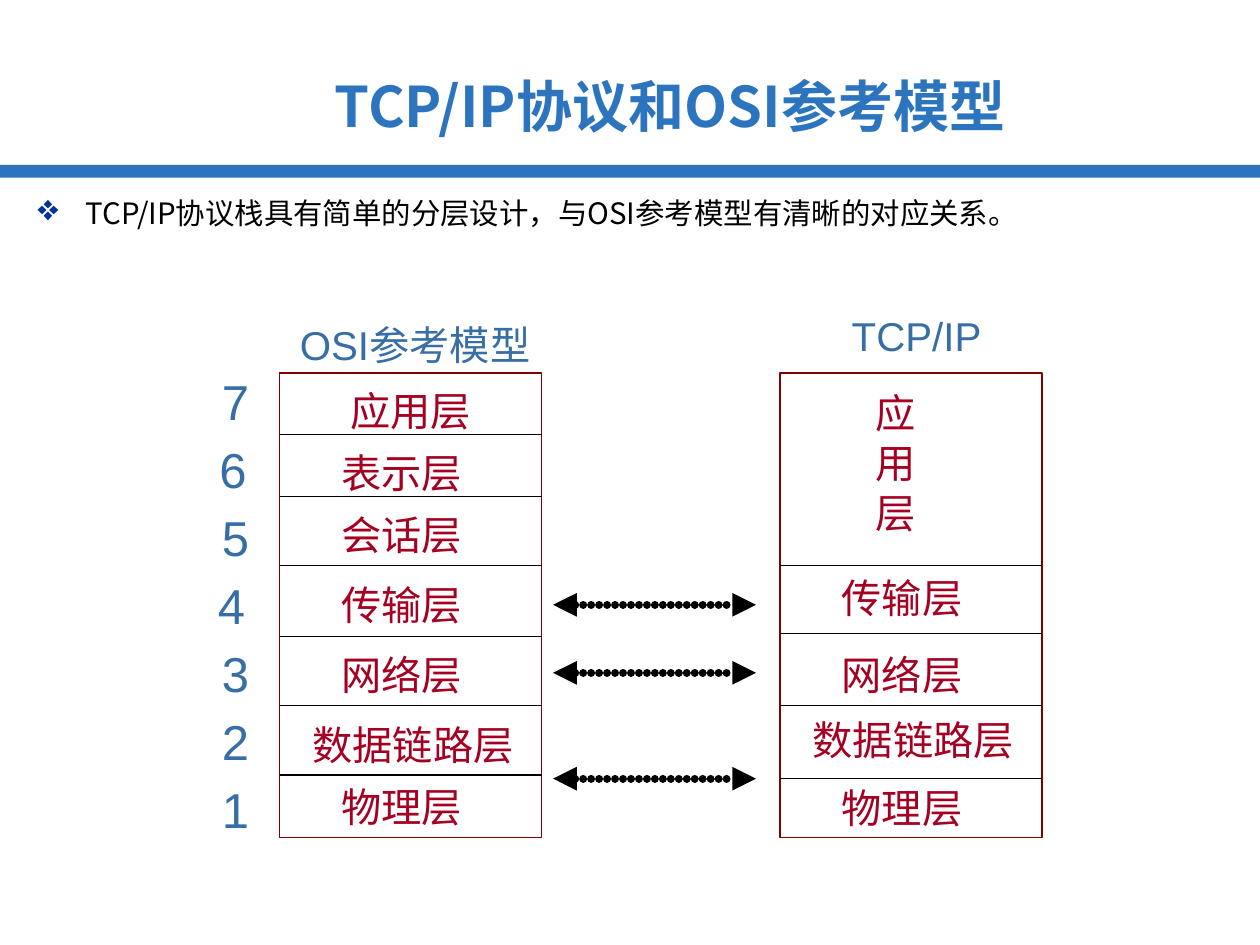
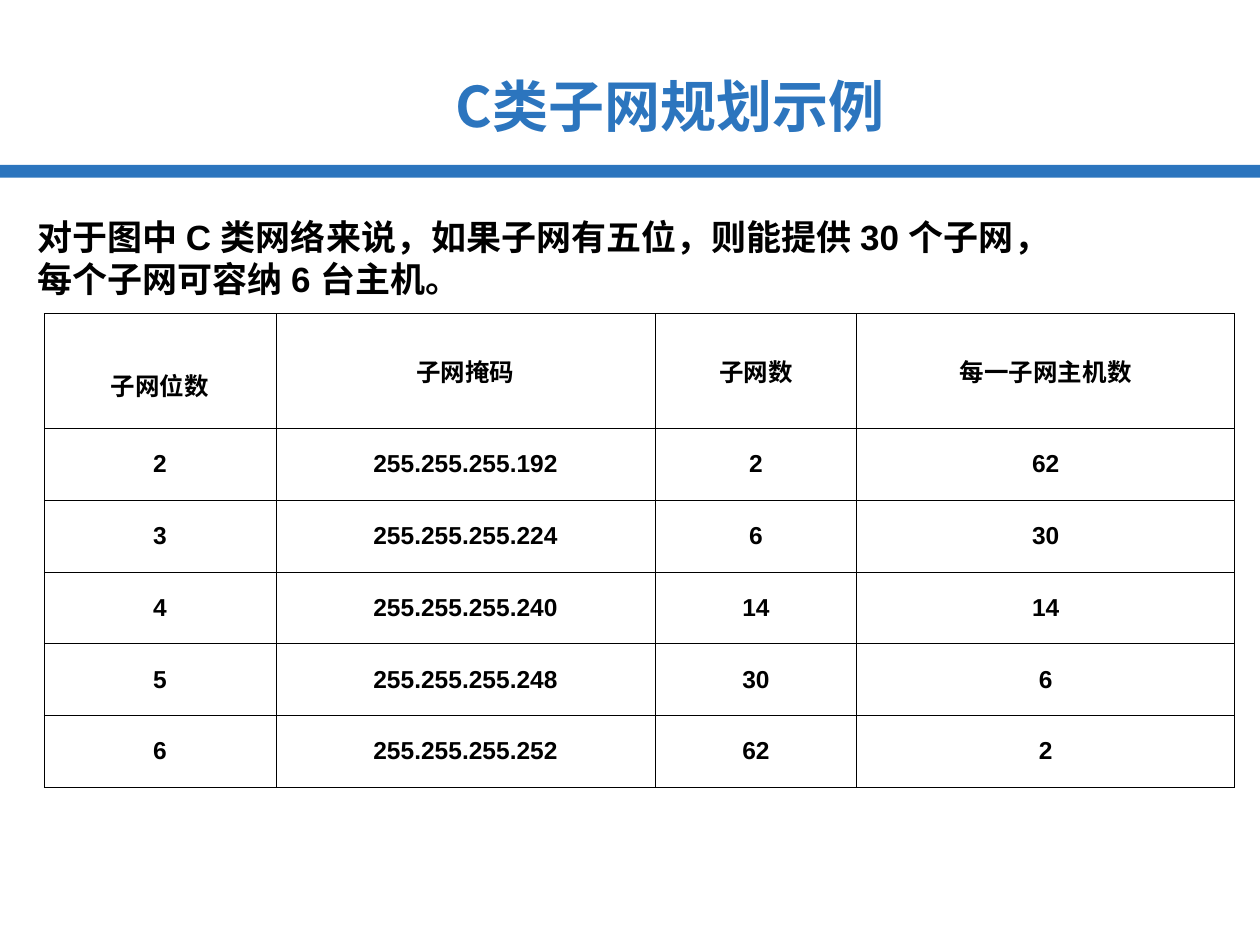
from dataclasses import dataclass

from lxml import etree
from pptx import Presentation
from pptx.dml.color import RGBColor
from pptx.enum.shapes import MSO_CONNECTOR, MSO_SHAPE
from pptx.enum.text import MSO_ANCHOR, PP_ALIGN
from pptx.oxml.ns import qn
from pptx.util import Inches, Pt

LEFT, CENTER = PP_ALIGN.LEFT, PP_ALIGN.CENTER
TOP, MIDDLE = MSO_ANCHOR.TOP, MSO_ANCHOR.MIDDLE
STRAIGHT, RECTANGLE = MSO_CONNECTOR.STRAIGHT, MSO_SHAPE.RECTANGLE

LATIN_FONT, CHINESE_FONT = "Arial", "Noto Sans CJK SC"
BLUE, LABEL_BLUE, BULLET_BLUE = "2C75BE", "376EA5", "003399"
CRIMSON, MAROON, BLACK = "A50021", "800000", "000000"

STACK_TOP, STACK_WIDTH, STACK_HEIGHT = 2.96, 2.08, 3.69
LABEL_HEIGHT = 0.5
LABEL_INSETS = (0.12, 0.06)
NUMBER_TOP, NUMBER_STEP, NUMBER_LEFT = 2.89, 0.54, 1.64
NUMBER_LEFT_EXCEPTIONS = {6: 1.62, 4: 1.61}
ARROW_START, ARROW_END = 4.39, 6.0
ARROW_LEVELS = (4.8, 5.34, 6.18)

TABLE_COLUMNS = (1.84, 3.01, 1.6, 3.0)
TABLE_ROWS = (0.91,) + (0.57,) * 5
SUBNETS = (
    ("子网位数", "子网掩码", "子网数", "每一子网主机数"),
    ("2", "255.255.255.192", "2", "62"),
    ("3", "255.255.255.224", "6", "30"),
    ("4", "255.255.255.240", "14", "14"),
    ("5", "255.255.255.248", "30", "6"),
    ("6", "255.255.255.252", "62", "2"),
)


@dataclass(frozen=True)
class Layer:
    """A protocol layer: its lower edge and where its label sits."""
    name: str
    bottom: float
    label_top: float
    label_center: float = 0.97
    vertical: bool = False


@dataclass(frozen=True)
class Stack:
    """A column of layers under a heading."""
    heading: str
    heading_box: tuple[float, float, float, float]
    left: float
    layers: tuple[Layer, ...]


STACKS = (
    Stack("OSI参考模型", (2.26, 2.48, 2.3, 0.5), 2.22, (
        Layer("应用层", 3.45, 3.01, 1.04),
        Layer("表示层", 3.94, 3.5),
        Layer("会话层", 4.49, 3.99),
        Layer("传输层", 5.05, 4.55),
        Layer("网络层", 5.6, 5.1),
        Layer("数据链路层", 6.15, 5.66, 1.06),
        Layer("物理层", 6.65, 6.15),
    )),
    Stack("TCP/IP", (6.64, 2.41, 1.43, 0.5), 6.19, (
        Layer("应 用 层", 4.49, 3.0, 0.91, True),
        Layer("传输层", 5.03, 4.49),
        Layer("网络层", 5.6, 5.1),
        Layer("数据链路层", 6.18, 5.62, 1.06),
        Layer("物理层", 6.65, 6.16),
    )),
)


def color(value: str) -> RGBColor:
    """Turn a hex string into a colour."""
    return RGBColor.from_string(value)


def write(paragraph, text: str, *, size: float, fill: str = BLACK, bold: bool = False,
          font: str = LATIN_FONT, align=LEFT) -> None:
    """Write one formatted run into a paragraph."""
    paragraph.alignment = align
    run = paragraph.add_run()
    run.text = text
    run.font.size = Pt(size)
    run.font.bold = bold
    run.font.name = font
    run.font.color.rgb = color(fill)
    east_asian = etree.Element(qn("a:ea"), typeface=CHINESE_FONT)
    run.font._element.find(qn("a:latin")).addnext(east_asian)


def add_text(slide, text: str, box: tuple[float, float, float, float], *, anchor=MIDDLE,
             insets: tuple[float, float] = (0.1, 0.05), wrap: bool = True,
             vertical: bool = False, **style):
    """Add a text box and return its paragraph."""
    frame = slide.shapes.add_textbox(*map(Inches, box)).text_frame
    frame.word_wrap = wrap
    frame.vertical_anchor = anchor
    frame.margin_left = frame.margin_right = Inches(insets[0])
    frame.margin_top = frame.margin_bottom = Inches(insets[1])
    if vertical:
        frame._txBody.bodyPr.set("vert", "eaVert")
    paragraph = frame.paragraphs[0]
    write(paragraph, text, **style)
    return paragraph


def add_rectangle(slide, box: tuple[float, float, float, float], *,
                  fill: str | None = None, line: str | None = None) -> None:
    """Add a rectangle with an optional fill and outline."""
    shape = slide.shapes.add_shape(RECTANGLE, *map(Inches, box))
    shape.shadow.inherit = False
    if fill:
        shape.fill.solid()
        shape.fill.fore_color.rgb = color(fill)
    else:
        shape.fill.background()
    if line:
        shape.line.color.rgb = color(line)
        shape.line.width = Pt(0.75)
    else:
        shape.line.fill.background()


def add_line(slide, start: float, end: float, level: float, *, width: float = 0.75,
             dotted_arrow: bool = False) -> None:
    """Add a horizontal line, or a dotted arrow with two heads."""
    connector = slide.shapes.add_connector(
        STRAIGHT, Inches(start), Inches(level), Inches(end), Inches(level))
    connector.line.color.rgb = color(BLACK)
    connector.line.width = Pt(width)
    properties = connector._element.spPr
    if dotted_arrow:
        line = properties.find(qn("a:ln"))
        line.set("cap", "rnd")
        dashes = etree.SubElement(line, qn("a:custDash"))
        etree.SubElement(dashes, qn("a:ds"), d="1000", sp="100000")
        etree.SubElement(line, qn("a:round"))
        for tag in ("a:headEnd", "a:tailEnd"):
            etree.SubElement(line, qn(tag), type="triangle")
    etree.SubElement(properties, qn("a:effectLst"))


def add_bullet(paragraph, symbol: str, indent: float) -> None:
    """Give a paragraph a coloured hanging bullet."""
    properties = paragraph._p.get_or_add_pPr()
    properties.set("marL", str(Inches(indent)))
    properties.set("indent", str(-Inches(indent)))
    bullet_color = etree.SubElement(properties, qn("a:buClr"))
    etree.SubElement(bullet_color, qn("a:srgbClr"), val=BULLET_BLUE)
    etree.SubElement(properties, qn("a:buSzPct"), val="125000")
    etree.SubElement(properties, qn("a:buChar"), char=symbol)


def add_titled_slide(presentation, title: str):
    """Add a blank slide with the shared band and title."""
    slide = presentation.slides.add_slide(presentation.slide_layouts[6])
    add_rectangle(slide, (0, 1.31, 10, 0.1), fill=BLUE)
    add_text(slide, title, (1.8, 0.47, 7.04, 0.73), size=32, fill=BLUE, bold=True,
             font=CHINESE_FONT, align=CENTER)
    return slide


def draw_stack(slide, stack: Stack) -> None:
    """Draw a stack's frame, dividers, labels and heading."""
    add_rectangle(slide, (stack.left, STACK_TOP, STACK_WIDTH, STACK_HEIGHT), line=MAROON)
    for layer in stack.layers[:-1]:
        add_line(slide, stack.left, stack.left + STACK_WIDTH, layer.bottom)
    for layer in stack.layers:
        width, height = 0.32 * len(layer.name) + 0.24, LABEL_HEIGHT
        insets = LABEL_INSETS
        if layer.vertical:
            width, height, insets = 0.62, 1.22, LABEL_INSETS[::-1]
        left = stack.left + layer.label_center - width / 2
        add_text(slide, layer.name, (left, layer.label_top, width, height), insets=insets,
                 wrap=False, vertical=layer.vertical, size=23, fill=CRIMSON,
                 font=CHINESE_FONT, align=CENTER)
    add_text(slide, stack.heading, stack.heading_box, anchor=TOP, insets=LABEL_INSETS,
             size=23, fill=LABEL_BLUE)


def build_model_slide(presentation) -> None:
    """Compare the two protocol stacks."""
    slide = add_titled_slide(presentation, "TCP/IP协议和OSI参考模型")
    paragraph = add_text(
        slide, "TCP/IP协议栈具有简单的分层设计，与OSI参考模型有清晰的对应关系。",
        (0.2, 1.55, 8.51, 0.63), anchor=TOP, size=16.8, font=CHINESE_FONT)
    add_bullet(paragraph, "❖", 0.38)
    paragraph.line_spacing = 0.8
    for stack in STACKS:
        draw_stack(slide, stack)
    for index, number in enumerate(range(7, 0, -1)):
        left = NUMBER_LEFT_EXCEPTIONS.get(number, NUMBER_LEFT)
        add_text(slide, str(number), (left, NUMBER_TOP + index * NUMBER_STEP, 0.45, 0.58),
                 insets=LABEL_INSETS, wrap=False, size=28, fill=LABEL_BLUE, align=CENTER)
    for level in ARROW_LEVELS:
        add_line(slide, ARROW_START, ARROW_END, level, width=4.5, dotted_arrow=True)


def set_borders(cell) -> None:
    """Give a cell thin black borders on all sides."""
    properties = cell._tc.get_or_add_tcPr()
    for index, tag in enumerate(("a:lnL", "a:lnR", "a:lnT", "a:lnB")):
        border = etree.Element(qn(tag), w=str(Pt(0.45)))
        fill = etree.SubElement(border, qn("a:solidFill"))
        etree.SubElement(fill, qn("a:srgbClr"), val=BLACK)
        properties.insert(index, border)


def build_subnet_slide(presentation) -> None:
    """Show the class C subnet table."""
    slide = add_titled_slide(presentation, "C类子网规划示例")
    add_text(slide, "对于图中 C 类网络来说，如果子网有五位，则能提供 30 个子网，每个子网可容纳 6 台主机。",
             (0.2, 1.66, 7.95, 0.77), size=20, bold=True)
    table = slide.shapes.add_table(
        len(TABLE_ROWS), len(TABLE_COLUMNS), Inches(0.35), Inches(2.49),
        Inches(sum(TABLE_COLUMNS)), Inches(sum(TABLE_ROWS))).table
    table.first_row = table.horz_banding = False
    for column, width in zip(table.columns, TABLE_COLUMNS):
        column.width = Inches(width)
    for row, height, values in zip(table.rows, TABLE_ROWS, SUBNETS):
        row.height = Inches(height)
        for cell, value in zip(row.cells, values):
            cell.fill.background()
            cell.vertical_anchor = MIDDLE
            set_borders(cell)
            write(cell.text_frame.paragraphs[0], value, size=14, bold=True, align=CENTER)
    table.cell(0, 0).margin_top = Inches(0.27)


def main() -> None:
    """Build and save the presentation."""
    presentation = Presentation()
    presentation.slide_width, presentation.slide_height = Inches(10), Inches(7.5)
    build_model_slide(presentation)
    build_subnet_slide(presentation)
    presentation.save("out.pptx")


if __name__ == "__main__":
    main()
